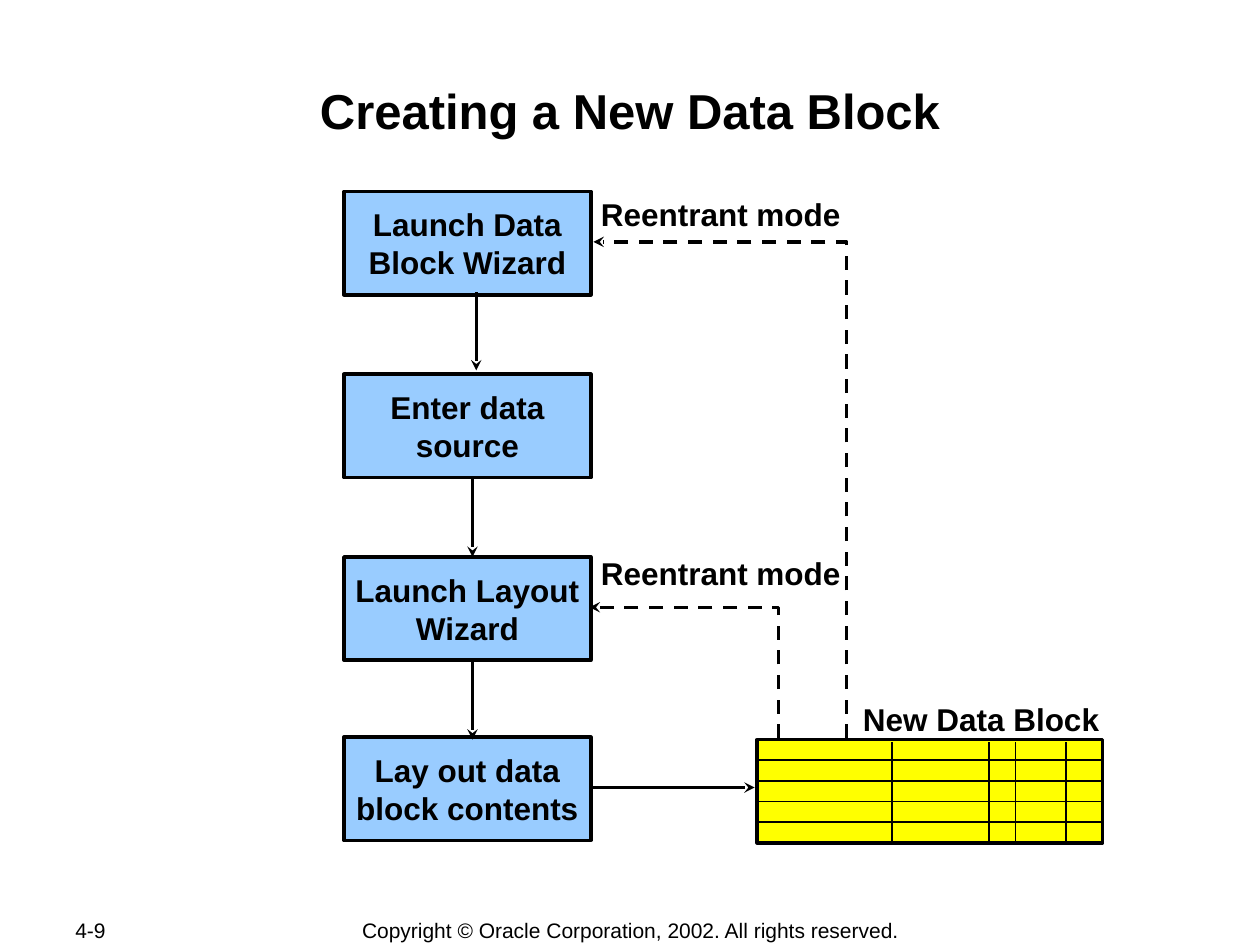
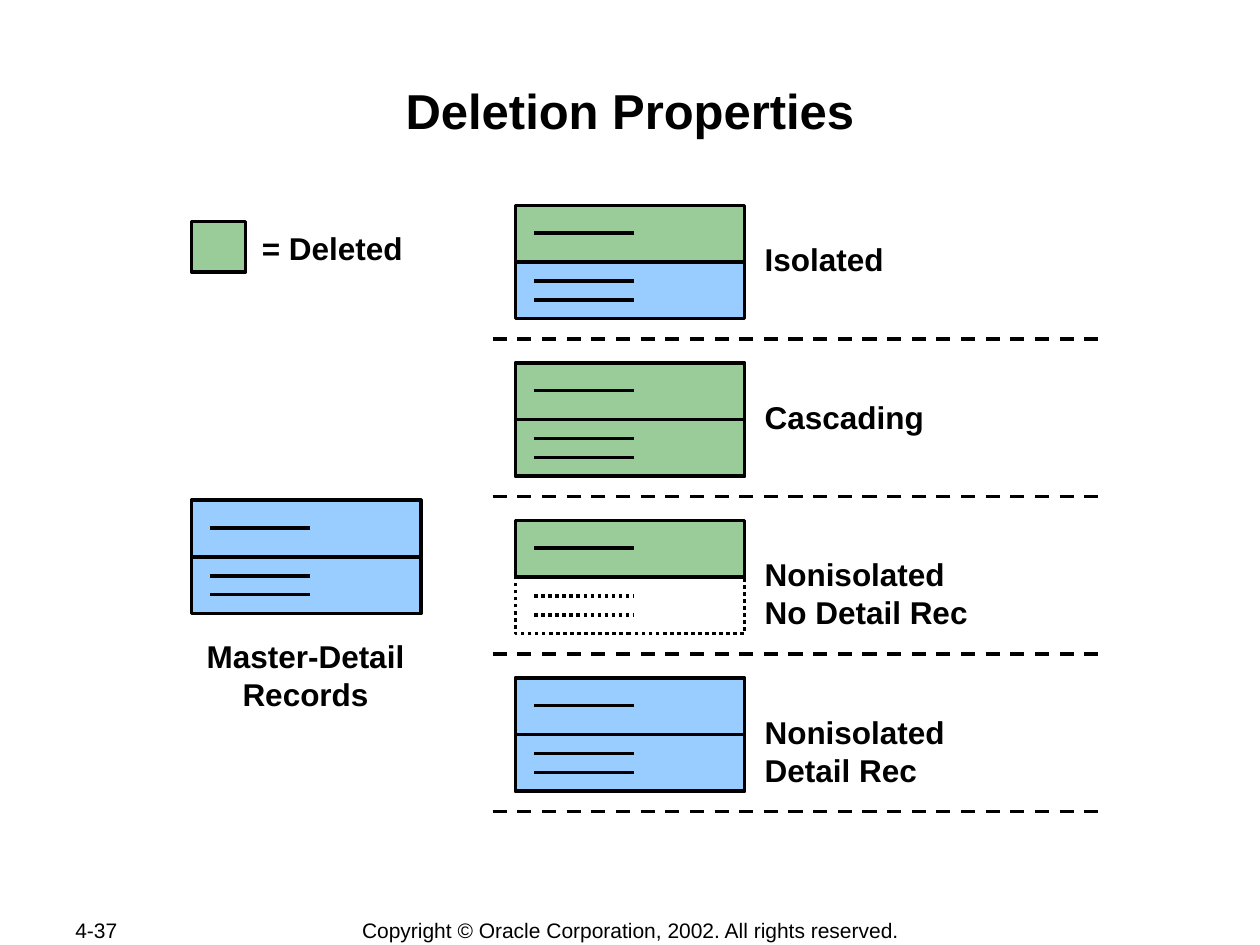
from dataclasses import dataclass
from typing import Optional

import lxml.etree
import pptx
import pptx.dml.color
import pptx.enum.dml
import pptx.enum.shapes
import pptx.enum.text
import pptx.oxml.ns
import pptx.util

Inches = pptx.util.Inches
Align = pptx.enum.text.PP_ALIGN
Anchor = pptx.enum.text.MSO_ANCHOR
Dash = pptx.enum.dml.MSO_LINE

COLOURS = {
    "ink": "000000",
    "kept": "99CCFF",
    "deleted": "99CC99",
    "data_block": "FFFF00",
}
FONT = "Arial"
COPYRIGHT = "Copyright © Oracle Corporation, 2002. All rights reserved."


@dataclass(frozen=True)
class Box:
    left: float
    top: float
    width: float
    height: float

    def lengths(self) -> tuple:
        return Inches(self.left), Inches(self.top), Inches(self.width), Inches(self.height)


@dataclass(frozen=True)
class Step:
    text: str
    top: float


@dataclass(frozen=True)
class Label:
    text: str
    box: Box
    align: Align = Align.LEFT


@dataclass(frozen=True)
class Arrow:
    points: tuple
    dash: Optional[Dash] = None


@dataclass(frozen=True)
class Deletion:
    text: str
    width: float
    master: str
    detail: Optional[str]


STEP_LEFT, STEP_WIDTH, STEP_HEIGHT = 2.73, 1.96, 0.82
STEPS = (
    Step("Launch Data\nBlock Wizard", 1.52),
    Step("Enter data\nsource", 2.97),
    Step("Launch Layout\nWizard", 4.42),
    Step("Lay out data\nblock contents", 5.85),
)
FLOW_LABELS = (
    Label("Reentrant mode", Box(4.67, 1.5, 2.11, 0.4)),
    Label("Reentrant mode", Box(4.67, 4.35, 2.11, 0.4)),
    Label("New Data Block", Box(6.75, 5.51, 2.08, 0.4)),
)
FLOW_ARROWS = (
    Arrow(((3.78, 2.32), (3.78, 2.94))),
    Arrow(((3.75, 3.8), (3.75, 4.42))),
    Arrow(((3.75, 5.25), (3.75, 5.87))),
    Arrow(((4.69, 6.25), (5.99, 6.25))),
)
REENTRANT_ARROWS = (
    Arrow(((6.18, 5.86), (6.18, 4.82), (4.68, 4.82)), Dash.DASH),
    Arrow(((6.72, 5.86), (6.72, 1.92), (4.71, 1.92)), Dash.DASH),
)
DATA_BLOCK = Box(6.01, 5.87, 2.74, 0.82)
COLUMN_EDGES = (7.08, 7.85, 8.06, 8.46)
ROW_COUNT = 5

DELETIONS = (
    Deletion("Isolated", 1.15, "deleted", "kept"),
    Deletion("Cascading", 1.47, "deleted", "deleted"),
    Deletion("Nonisolated\nNo Detail Rec", 1.81, "deleted", None),
    Deletion("Nonisolated\nDetail Rec", 1.63, "kept", "kept"),
)
DELETION_TOP, DELETION_PITCH = 1.63, 1.25
RECORD_WIDTH, RECORD_HEIGHT = 1.82, 0.45
LEGEND_LABELS = (
    Label("= Deleted", Box(1.98, 1.77, 1.32, 0.4)),
    Label("Master-Detail\nRecords", Box(1.54, 5.01, 1.77, 0.7), Align.CENTER),
)


def rgb(name: str) -> pptx.dml.color.RGBColor:
    return pptx.dml.color.RGBColor.from_string(COLOURS[name])


def write(shape, text: str, size: float = 18, bold: bool = True,
          align: Align = Align.LEFT, anchor: Anchor = Anchor.TOP,
          wrap: bool = False) -> None:
    frame = shape.text_frame
    frame.text = text
    frame.word_wrap = wrap
    frame.vertical_anchor = anchor
    for paragraph in frame.paragraphs:
        paragraph.alignment = align
        for run in paragraph.runs:
            run.font.name = FONT
            run.font.size = pptx.util.Pt(size)
            run.font.bold = bold
            run.font.color.rgb = rgb("ink")


def add_label(slide, label: Label) -> None:
    write(slide.shapes.add_textbox(*label.box.lengths()), label.text, align=label.align)


def style_line(line, width: float, dash: Optional[Dash]) -> None:
    line.color.rgb = rgb("ink")
    line.width = pptx.util.Pt(width)
    if dash is not None:
        line.dash_style = dash


def add_arrowhead(shape) -> None:
    outline = shape._element.spPr.get_or_add_ln()
    lxml.etree.SubElement(outline, pptx.oxml.ns.qn("a:tailEnd"), type="stealth")


def add_line(slide, start: tuple, end: tuple, width: float = 2,
             dash: Optional[Dash] = None, arrow: bool = False) -> None:
    connector = slide.shapes.add_connector(
        pptx.enum.shapes.MSO_CONNECTOR.STRAIGHT,
        *(Inches(value) for value in (*start, *end)))
    style_line(connector.line, width, dash)
    if arrow:
        add_arrowhead(connector)
    lxml.etree.SubElement(connector._element.spPr, pptx.oxml.ns.qn("a:effectLst"))


def add_bent_arrow(slide, arrow: Arrow) -> None:
    start, *corners = [(Inches(x), Inches(y)) for x, y in arrow.points]
    builder = slide.shapes.build_freeform(*start)
    builder.add_line_segments(corners, close=False)
    route = builder.convert_to_shape()
    route.shadow.inherit = False
    route.fill.background()
    style_line(route.line, 2, arrow.dash)
    add_arrowhead(route)


def add_rectangle(slide, box: Box, fill: Optional[str], dash: Optional[Dash] = None):
    rectangle = slide.shapes.add_shape(
        pptx.enum.shapes.MSO_SHAPE.RECTANGLE, *box.lengths())
    rectangle.shadow.inherit = False
    if fill is None:
        rectangle.fill.background()
    else:
        rectangle.fill.solid()
        rectangle.fill.fore_color.rgb = rgb(fill)
    style_line(rectangle.line, 2, dash)
    return rectangle


def add_slide(deck, title: str, page: str):
    slide = deck.slides.add_slide(deck.slide_layouts[6])
    number = slide.shapes.add_textbox(*Box(0.5, 7.28, 1.06, 0.2).lengths())
    write(number, page, 12, False, anchor=Anchor.MIDDLE, wrap=True)
    footer = slide.shapes.add_textbox(*Box(2.76, 7.28, 4.49, 0.21).lengths())
    write(footer, COPYRIGHT, 12, False, Align.CENTER, Anchor.MIDDLE)
    heading = slide.shapes.add_textbox(*Box(1, 0.58, 8, 0.96).lengths())
    write(heading, title, 28, align=Align.CENTER, wrap=True)
    heading.text_frame.margin_top = Inches(0.06)
    return slide


def add_data_block(slide) -> None:
    add_rectangle(slide, DATA_BLOCK, "data_block")
    right = DATA_BLOCK.left + DATA_BLOCK.width
    bottom = DATA_BLOCK.top + DATA_BLOCK.height
    for row in range(1, ROW_COUNT):
        y = DATA_BLOCK.top + row * DATA_BLOCK.height / ROW_COUNT
        add_line(slide, (DATA_BLOCK.left, y), (right, y), 1)
    for x in COLUMN_EDGES:
        add_line(slide, (x, DATA_BLOCK.top + 0.02), (x, bottom), 1)


def add_records(slide, left: float, top: float, master: str, detail: Optional[str]) -> None:
    detail_dash = Dash.ROUND_DOT if detail is None else None
    add_rectangle(slide, Box(left, top, RECORD_WIDTH, RECORD_HEIGHT), master)
    add_rectangle(slide, Box(left, top + RECORD_HEIGHT, RECORD_WIDTH, RECORD_HEIGHT),
                  detail, detail_dash)
    for offset, dash in ((0.22, None), (0.6, detail_dash), (0.75, detail_dash)):
        y = top + offset
        add_line(slide, (left + 0.15, y), (left + 0.94, y), dash=dash)


def build_data_block_slide(deck) -> None:
    slide = add_slide(deck, "Creating a New Data Block", "4-9")
    for step in STEPS:
        box = add_rectangle(slide, Box(STEP_LEFT, step.top, STEP_WIDTH, STEP_HEIGHT), "kept")
        write(box, step.text, align=Align.CENTER, anchor=Anchor.MIDDLE)
    add_data_block(slide)
    for label in FLOW_LABELS:
        add_label(slide, label)
    for arrow in REENTRANT_ARROWS:
        add_bent_arrow(slide, arrow)
    for arrow in FLOW_ARROWS:
        add_line(slide, *arrow.points, arrow=True)


def build_deletion_slide(deck) -> None:
    slide = add_slide(deck, "Deletion Properties", "4-37")
    for index, deletion in enumerate(DELETIONS):
        top = DELETION_TOP + index * DELETION_PITCH
        add_line(slide, (3.91, top + 1.06), (8.79, top + 1.06), dash=Dash.DASH)
        add_records(slide, 4.09, top, deletion.master, deletion.detail)
        height = 0.4 + 0.3 * deletion.text.count("\n")
        add_label(slide, Label(deletion.text, Box(5.97, top + 0.23, deletion.width, height)))
    add_records(slide, 1.52, 3.97, "kept", "kept")
    add_rectangle(slide, Box(1.52, 1.76, 0.43, 0.4), "deleted")
    for label in LEGEND_LABELS:
        add_label(slide, label)


def main() -> None:
    deck = pptx.Presentation()
    deck.slide_width, deck.slide_height = Inches(10), Inches(7.5)
    build_data_block_slide(deck)
    build_deletion_slide(deck)
    deck.save("out.pptx")


if __name__ == "__main__":
    main()
